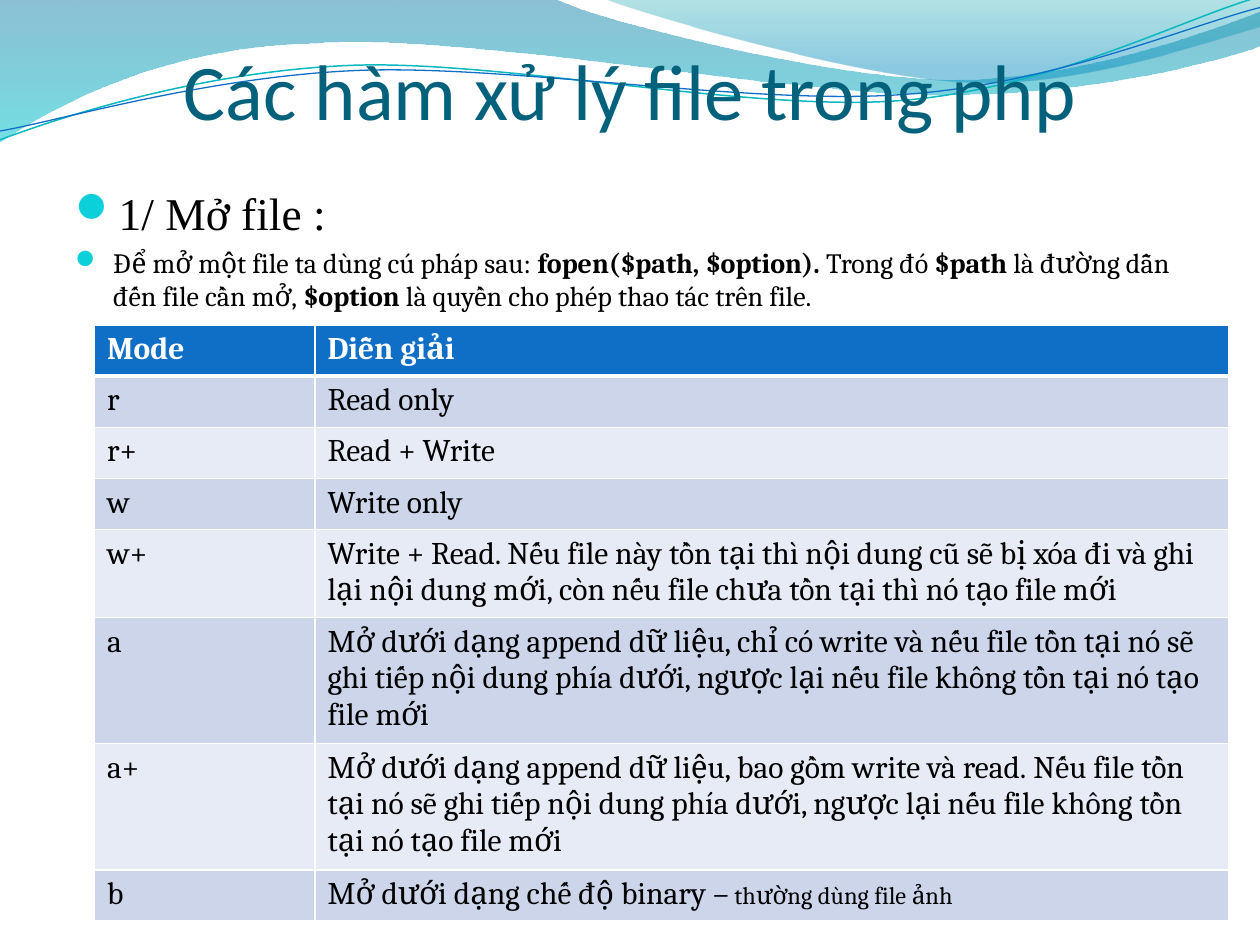
"""Build the slide on PHP file functions: wave header, bullets and a table of modes."""
from lxml.etree import SubElement
from pptx import Presentation
from pptx.dml.color import RGBColor
from pptx.enum.text import MSO_ANCHOR as Anchor, PP_ALIGN as Align
from pptx.oxml.ns import qn
from pptx.util import Inches, Pt

WIDTH, HEIGHT = 10, 7.5
MARGIN = WIDTH * 0.05


def add_outline(shapes, start, segments, closed):
    origin = [Inches(value) for value in start]
    ends = [[Inches(value) for value in segment[-2:]] for segment in segments]
    builder = shapes.build_freeform(*origin)
    builder.add_line_segments(ends, close=closed)
    shape = builder.convert_to_shape()
    shape.shadow.inherit = False
    left, top = shape.left, shape.top
    for line, segment in zip(list(shape._element.iter(qn("a:lnTo"))), segments):
        if len(segment) == 6:
            curve = line.makeelement(qn("a:cubicBezTo"))
            for x, y in zip(segment[::2], segment[1::2]):
                point = SubElement(curve, qn("a:pt"))
                point.set("x", str(Inches(x) - left))
                point.set("y", str(Inches(y) - top))
            line.getparent().replace(line, curve)
    return shape


def add_text(paragraph, text, font_name, size, hex_string, bold=False):
    run = paragraph.add_run()
    run.text = text
    run.font.name, run.font.size, run.font.bold = font_name, Pt(size), bold
    run.font.color.rgb = RGBColor.from_string(hex_string)


presentation = Presentation()
presentation.slide_width, presentation.slide_height = Inches(WIDTH), Inches(HEIGHT)
slide = presentation.slides.add_slide(presentation.slide_layouts[6])
shapes = slide.shapes

waves = [
    ((0, 0), [(4.4, -0.01), (4.76, 0.17, 6.64, 0.63, 7.58, 0.63),
              (8.53, 0.63, 9.58, 0.26, 10, 0.09), (10.01, 0.36),
              (9.83, 0.44, 8.7, 0.76, 7.46, 0.75), (6.22, 0.75, 3.82, 0.28, 2.57, 0.34),
              (1.29, 0.36, 0.46, 0.83, -0.01, 1.13)],
     [(0, "0074A1", 45), (1, "00C6CF", 55)]),
    ((4.79, -0.01), [(5.09, 0.11, 6.82, 0.62, 7.69, 0.65),
                     (8.56, 0.69, 9.61, 0.32, 10, 0.21), (10, 0)],
     [(0, "00A1A9", 30), (0.8, "008BBF", 45)]),
]
for start, segments, stops in waves:
    wave = add_outline(shapes, start, segments, True)
    wave.line.fill.background()
    wave.fill.gradient()
    wave.fill.gradient_angle = 270
    for stop, (position, hex_string, _) in zip(wave.fill.gradient_stops, stops):
        stop.position = position
        stop.color.rgb = RGBColor.from_string(hex_string)
    for element, (_, _, opacity) in zip(wave._element.spPr.iter(qn("a:srgbClr")), stops):
        SubElement(element, qn("a:alpha")).set("val", str(opacity * 1000))

ribbons = [
    ((0, 1.11), [(0.48, 0.93, 1.58, 0.57, 2.77, 0.52), (3.95, 0.47, 5.93, 0.89, 7.13, 0.8),
                 (8.33, 0.71, 9.38, 0.15, 9.98, -0.02)], "0AB8BF", 0.85),
    ((0, 1.04), [(0.47, 0.96, 1.64, 0.61, 2.83, 0.56), (4.03, 0.51, 5.97, 0.84, 7.17, 0.75),
                 (8.36, 0.67, 9.41, 0.21, 10, 0.06)], "0F6FC6", 0.75),
]
for start, segments, hex_string, weight in ribbons:
    ribbon = add_outline(shapes, start, segments, False)
    ribbon.fill.background()
    ribbon.line.color.rgb = RGBColor.from_string(hex_string)
    ribbon.line.width = Pt(weight)

title = shapes.add_textbox(Inches(MARGIN), Inches(0.77), Inches(WIDTH - 2 * MARGIN), Inches(0.31))
frame = title.text_frame
frame.word_wrap = True
frame.vertical_anchor = Anchor.BOTTOM
frame.margin_left = frame.margin_right = frame.margin_bottom = 0
frame.paragraphs[0].alignment = Align.CENTER
add_text(frame.paragraphs[0], "Các hàm xử lý file trong php", "Calibri", 45, "04617B")

body = shapes.add_textbox(Inches(MARGIN), Inches(1.42), Inches(WIDTH - 2 * MARGIN), Inches(5.5))
frame = body.text_frame
frame.word_wrap = True
bullets = [
    ("Times New Roman", 26, [("1/ Mở file :", False)]),
    ("Cambria", 16, [
        ("Để mở một file ta dùng cú pháp sau:\u00a0", False),
        ("fopen($path, $option).", True), ("\u00a0Trong đó", False), ("\u00a0$path", True),
        ("\u00a0là đường dẫn đến file cần mở,\u00a0", False), ("$option", True),
        ("\u00a0là quyền cho phép thao tác trên file.", False)]),
]
for index, (font_name, size, runs) in enumerate(bullets):
    paragraph = frame.add_paragraph() if index else frame.paragraphs[0]
    paragraph.space_before = Pt(size * 0.2)
    for text, bold in runs:
        add_text(paragraph, text, font_name, size, "000000", bold)
    properties = paragraph._p.get_or_add_pPr()
    properties.set("marL", str(Inches(0.3)))
    properties.set("indent", str(-Inches(0.3)))
    tint, scale, font, mark = [SubElement(properties, qn(tag)) for tag in
                               ("a:buClr", "a:buSzPct", "a:buFont", "a:buChar")]
    SubElement(tint, qn("a:srgbClr")).set("val", "0BD0D9")
    scale.set("val", "95000")
    font.set("typeface", "Wingdings 2")
    font.set("charset", "2")
    mark.set("char", "\uf097")

modes = [
    ("Mode", "Diễn giải"),
    ("r", "Read only"),
    ("r+", "Read + Write"),
    ("w", "Write only"),
    ("w+", "Write + Read. Nếu file này tồn tại thì nội dung cũ sẽ bị xóa đi và ghi lại "
           "nội dung mới, còn nếu file chưa tồn tại thì nó tạo file mới"),
    ("a", "Mở dưới dạng append dữ liệu, chỉ có write và nếu file tồn tại nó sẽ ghi tiếp "
          "nội dung phía dưới, ngược lại nếu file không tồn tại nó tạo file mới"),
    ("a+", "Mở dưới dạng append dữ liệu, bao gồm write và read.\u00a0Nếu file tồn tại nó sẽ "
           "ghi tiếp nội dung phía dưới, ngược lại nếu file không tồn tại nó tạo file mới"),
    ("b", "Mở dưới dạng chế độ binary –"),
]
row_height = Pt(29.2)
table = shapes.add_table(len(modes), 2, Inches(0.75), Inches(2.58), Inches(9),
                         row_height * len(modes)).table
for column, width in zip(table.columns, (1.75, 7.25)):
    column.width = Inches(width)
for row_index, row in enumerate(modes):
    header = row_index == 0
    fill = "0F6FC6" if header else ("E7EBF5", "CCD5EA")[row_index % 2]
    for column_index, text in enumerate(row):
        cell = table.cell(row_index, column_index)
        if header:
            border = SubElement(cell._tc.get_or_add_tcPr(), qn("a:lnB"))
            border.set("w", str(Pt(3)))
            SubElement(SubElement(border, qn("a:solidFill")), qn("a:srgbClr")).set("val", "FFFFFF")
        cell.fill.solid()
        cell.fill.fore_color.rgb = RGBColor.from_string(fill)
        paragraph = cell.text_frame.paragraphs[0]
        add_text(paragraph, text, "Cambria", 18, "FFFFFF" if header else "000000", header)
add_text(paragraph, " thường dùng file ảnh", "Cambria", 14, "000000")

presentation.save("out.pptx")
